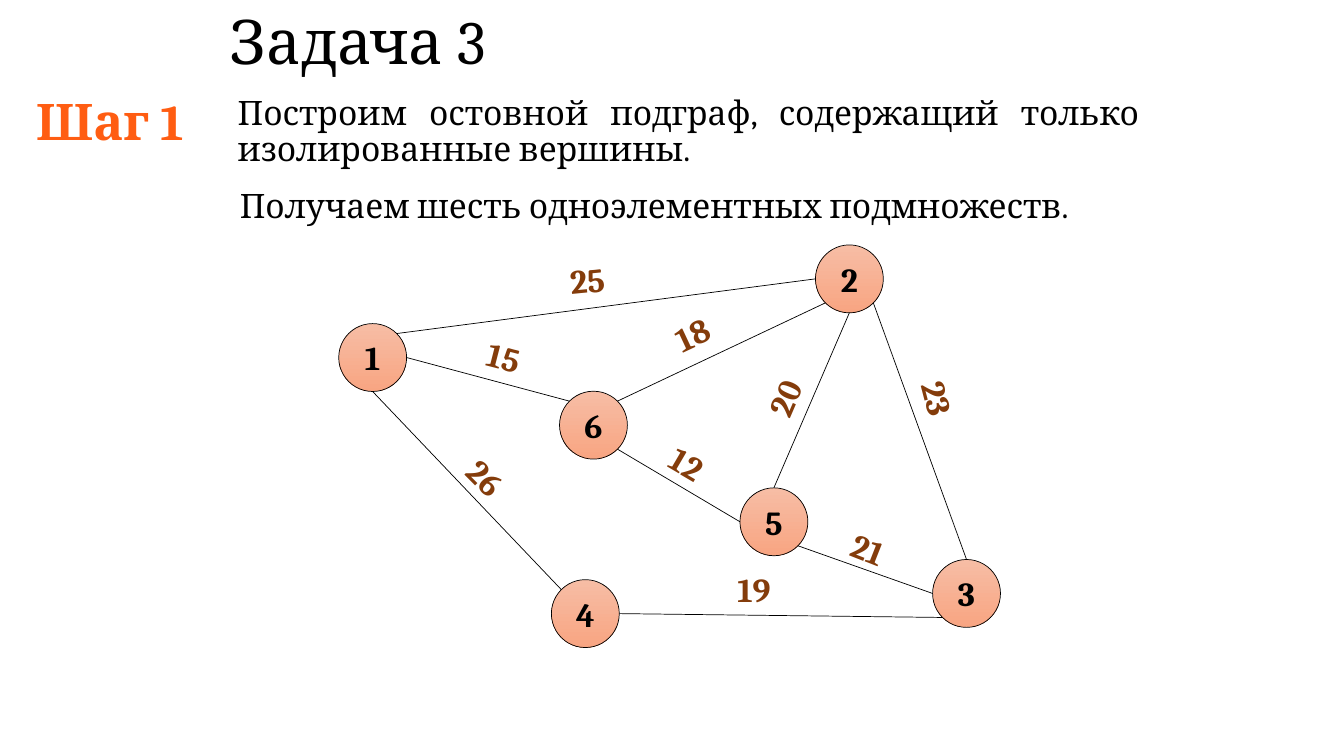
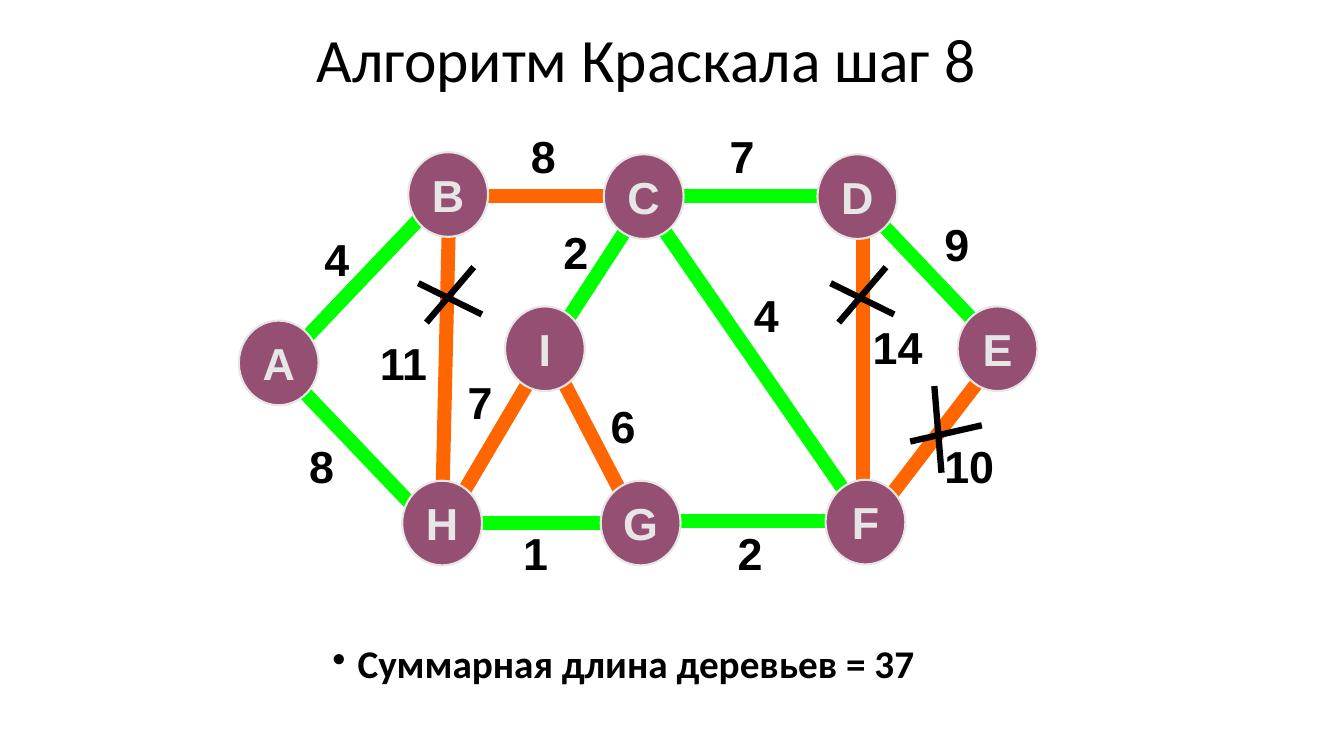
from math import cos, radians, sin

from lxml import etree
from pptx import Presentation
from pptx.dml.color import RGBColor
from pptx.enum import shapes, text
from pptx.oxml import ns
from pptx.util import Pt

COLORS = {
    "ink": "000000", "step": "FF5D12", "weight": "843C0B",
    "node_top": "F7BDA5", "node_bottom": "F8A582",
    "kept": "00FF00", "open": "FF6600", "vertex": "954F72", "pale": "E7E6E6",
}
LEFT, CENTER, JUSTIFY = (
    text.PP_ALIGN.LEFT, text.PP_ALIGN.CENTER, text.PP_ALIGN.JUSTIFY)

TASK_NODE = 48.5
TASK_NODES = {
    "1": (24.2, 80.4), "6": (181.9, 128.7), "5": (310.8, 197.7),
    "2": (364.7, 24.2), "3": (448.4, 248.9), "4": (176.1, 263.3),
}
ANGLES = {name: 45 * i for i, name in enumerate(
    ("E", "SE", "S", "SW", "W", "NW", "N", "NE"))}
TASK_EDGES = [
    ("1", "NE", "2", "W", "25", (179.6, 24.8), -5.6),
    ("6", "NW", "1", "E", "15", (120.5, 80.6), 14.4),
    ("6", "SE", "5", "W", "12", (251.2, 157.6), 30.5),
    ("1", "S", "4", "NW", "26", (106.1, 167.4), 45.2),
    ("4", "E", "3", "SW", "19", (299.1, 245.8), 0),
    ("2", "SE", "3", "N", "23", (428.3, 111.9), 75.3),
    ("2", "S", "5", "N", "20", (319.2, 107.6), -66.7),
    ("6", "NE", "2", "SW", "18", (254.4, 62.6), -25.2),
    ("5", "SE", "3", "W", "21", (380.8, 218.1), 21.6),
]

VERTEX_SIZE = (57, 60.5)
VERTICES = {
    "A": (0.6, 141), "H": (117.3, 255.4), "G": (259.1, 255.4),
    "I": (190.7, 130.9), "B": (121.6, 20.7), "F": (419.7, 254.7),
    "C": (261.3, 22.2), "D": (413.9, 22.2), "E": (514, 130.9),
}
KRUSKAL_EDGES = [
    ("kept", (287.2, 51.7), (452.1, 290), "4", (361.4, 114.3)),
    ("open", (287.2, 290), (219.5, 159.7), "6", (259.1, 193.5)),
    ("kept", (293, 51.7), (219.5, 164.7), "2", (225.3, 69)),
    ("open", (219.5, 164.7), (145.4, 290), "7", (156.9, 176.2)),
    ("open", (151.1, 51.7), (145.4, 295), "11", (94.2, 148.2)),
    ("kept", (145.4, 295), (26.6, 170.5), "8", (43.8, 221.6)),
    ("open", (547.8, 159.7), (452.1, 284.2), "10", (497.4, 221.6)),
    ("kept", (452.1, 284.2), (298.7, 284.2), "2", (349.8, 284.2)),
    ("open", (446.3, 51.7), (446.3, 290), "14", (446.3, 136.6)),
    ("kept", (126.6, 285.7), (296.6, 285.7), "1", (196.5, 284.2)),
    ("open", (151.1, 51.7), (293, 51.7), "8", (202.2, 0.6)),
    ("kept", (145.4, 51.7), (32.3, 170.5), "4", (54.6, 74)),
    ("kept", (287.2, 51.7), (446.3, 51.7), "7", (344.1, 0.6)),
    ("kept", (440.6, 51.7), (547.8, 164.7), "9", (497.4, 63.2)),
]
CROSS = [((0, 11.5), (45.4, 33.8)), ((5.8, 39.6), (39.6, 0))]
TILTED_CROSS = [((17.2, 0), (22.3, 61.9)), ((51.1, 28), (0, 39.6))]
CROSSES = [
    ((128.8, 102.8), CROSS),
    ((423.3, 102.8), CROSS),
    ((480.2, 187.8), TILTED_CROSS),
]


def rgb(name):
    """Return the named colour."""
    return RGBColor.from_string(COLORS[name])


def shift(origin, point):
    """Move a point by the origin of its region."""
    return origin[0] + point[0], origin[1] + point[1]


def write(sp, words, font, size, color="ink", bold=False, align=LEFT,
          spacing=None):
    """Set the single paragraph of a shape and return it."""
    p = sp.text_frame.paragraphs[0]
    p.add_run().text = words
    p.alignment = align
    if spacing:
        p.line_spacing = spacing
    p.font.name, p.font.size, p.font.bold = font, Pt(size), bold
    p.font.color.rgb = rgb(color)
    return p


def add_text(slide, box, words, font, size, wrap=True, middle=False, **style):
    """Add a text box and return its shape and paragraph."""
    sp = slide.shapes.add_textbox(*map(Pt, box))
    tf = sp.text_frame
    tf.word_wrap = wrap
    if middle:
        tf.vertical_anchor = text.MSO_ANCHOR.MIDDLE
    return sp, write(sp, words, font, size, **style)


def add_title(slide, box, words, font):
    """Add the slide title."""
    add_text(slide, box, words, font, 44, middle=True, spacing=0.9)


def add_line(slide, start, end, color, width):
    """Add a straight line without shadow."""
    line = slide.shapes.add_connector(
        shapes.MSO_CONNECTOR.STRAIGHT, *map(Pt, (*start, *end)))
    line.line.color.rgb = rgb(color)
    line.line.width = Pt(width)
    etree.SubElement(line._element.spPr, ns.qn("a:effectLst"))


def add_node(slide, box, name, font, size, color, outline, width):
    """Add a lettered circle and return it for filling."""
    sp = slide.shapes.add_shape(shapes.MSO_SHAPE.OVAL, *map(Pt, box))
    sp.shadow.inherit = False
    sp.line.color.rgb = rgb(outline)
    sp.line.width = Pt(width)
    tf = sp.text_frame
    tf.margin_left = tf.margin_right = tf.margin_top = tf.margin_bottom = 0
    tf.word_wrap = False
    tf.vertical_anchor = text.MSO_ANCHOR.MIDDLE
    write(sp, name, font, size, color, True, CENTER)
    return sp


def task_graph(slide, origin):
    """Draw the weighted graph of the task."""
    radius = TASK_NODE / 2

    def site(node, side):
        """Return a point on the rim of a node."""
        angle = radians(ANGLES[side])
        rim = radius * cos(angle), radius * sin(angle)
        return shift(shift(origin, TASK_NODES[node]), rim)

    for name, center in TASK_NODES.items():
        corner = shift(shift(origin, center), (-radius, -radius))
        sp = add_node(slide, (*corner, TASK_NODE, TASK_NODE), name,
                      "Cambria", 24, "ink", "ink", 0.5)
        sp.fill.gradient()
        sp.fill.gradient_angle = 270
        for stop, color in zip(sp.fill.gradient_stops,
                               ("node_top", "node_bottom")):
            stop.color.rgb = rgb(color)
    for first, side, second, other, weight, center, turn in TASK_EDGES:
        add_line(slide, site(first, side), site(second, other), "ink", 0.5)
        corner = shift(shift(origin, center), (-21.5, -18.2))
        sp, _ = add_text(slide, (*corner, 43, 36.4), weight, "Cambria", 24,
                         wrap=False, color="weight", bold=True)
        sp.rotation = turn


def kruskal_graph(slide, origin):
    """Draw the graph with kept, open and crossed-out edges."""
    for color, start, end, _, _ in KRUSKAL_EDGES:
        add_line(slide, shift(origin, start), shift(origin, end), color, 10)
    for name, corner in VERTICES.items():
        sp = add_node(slide, (*shift(origin, corner), *VERTEX_SIZE), name,
                      "Arial", 32, "pale", "pale", 1.5)
        sp.fill.solid()
        sp.fill.fore_color.rgb = rgb("vertex")
    for *_, weight, corner in KRUSKAL_EDGES:
        add_text(slide, (*shift(origin, corner), 57, 45.4), weight,
                 "Arial", 32, bold=True)
    for corner, strokes in CROSSES:
        place = shift(origin, corner)
        for start, end in strokes:
            add_line(slide, shift(place, start), shift(place, end), "ink", 4.5)


def task_slide(slide):
    """Build the first step of the task."""
    add_title(slide, (157, 3.6, 648, 57), "Задача 3", "Cambria")
    add_text(slide, (162.7, 65.5, 658, 100),
             "Построим остовной подграф, содержащий только "
             "изолированные вершины.",
             "Cambria", 24, align=JUSTIFY, spacing=0.9)
    task_graph(slide, (242, 175))
    add_text(slide, (14.4, 60.5, 128, 51), "Шаг 1", "Cambria", 36,
             wrap=False, color="step", bold=True, align=CENTER)
    add_text(slide, (164.2, 128.2, 658, 39),
             "Получаем шесть одноэлементных подмножеств.",
             "Cambria", 24, align=JUSTIFY)


def kruskal_slide(slide):
    """Build the eighth step of the algorithm."""
    add_title(slide, (219, 0, 586, 90), "Алгоритм Краскала шаг 8", "Calibri")
    kruskal_graph(slide, (170, 88))
    _, p = add_text(slide, (230.4, 457.2, 521, 42.5),
                    "Суммарная длина деревьев = 37", "Calibri", 28,
                    bold=True, spacing=0.9)
    pPr = p._p.get_or_add_pPr()
    pPr.set("marL", str(Pt(18)))
    pPr.set("indent", str(-Pt(18)))
    bullet = etree.Element(ns.qn("a:buChar"), char="•")
    pPr.find(ns.qn("a:defRPr")).addprevious(bullet)


def main():
    """Build and save the presentation."""
    prs = Presentation()
    prs.slide_width, prs.slide_height = Pt(960), Pt(540)
    for build in (task_slide, kruskal_slide):
        build(prs.slides.add_slide(prs.slide_layouts[6]))
    prs.save("out.pptx")


if __name__ == "__main__":
    main()
